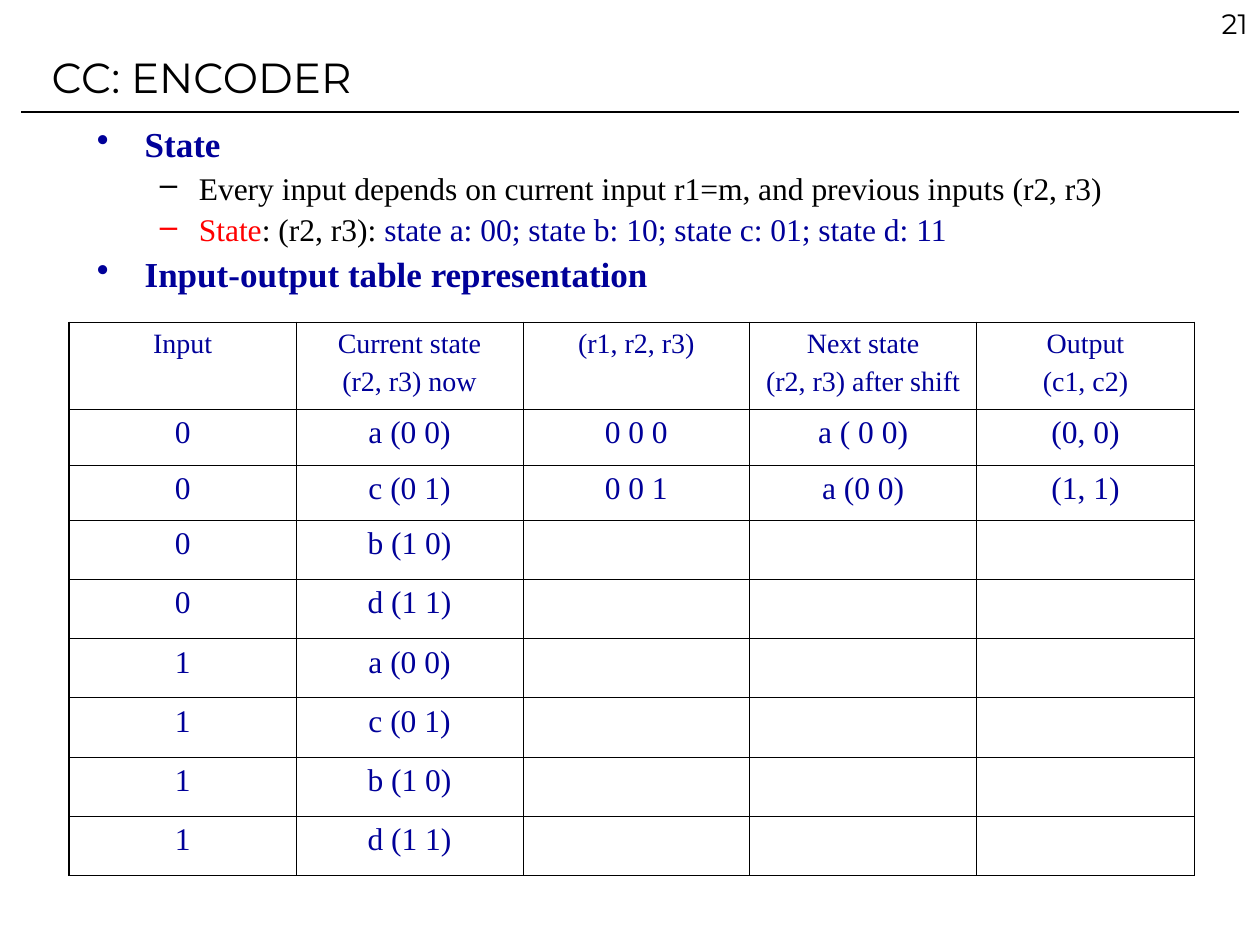
"""Build the convolutional code encoder slide with its state table."""
from lxml.etree import SubElement
from pptx import Presentation
from pptx.dml.color import RGBColor
from pptx.enum.shapes import MSO_CONNECTOR
from pptx.enum.text import MSO_ANCHOR, PP_ALIGN
from pptx.oxml.ns import qn
from pptx.util import Inches, Pt

BLACK = RGBColor(0x00, 0x00, 0x00)
NAVY = RGBColor(0x00, 0x00, 0x99)
RED = RGBColor(0xFF, 0x00, 0x00)
HEADING_FONT = "Montserrat"
BODY_FONT = "Times New Roman"


def format_font(font, name, size, color, bold=False):
    font.name = name
    font.size = Pt(size)
    font.color.rgb = color
    font.bold = bold


def add_border(cell, side, width):
    line = SubElement(cell._tc.get_or_add_tcPr(), qn(f"a:ln{side}"), w=str(Pt(width)))
    fill = SubElement(line, qn("a:solidFill"))
    SubElement(fill, qn("a:srgbClr"), val=str(BLACK))


presentation = Presentation()
presentation.slide_width = Inches(10)
presentation.slide_height = Inches(7.5)
slide = presentation.slides.add_slide(presentation.slide_layouts[5])

rule = slide.shapes.add_connector(
    MSO_CONNECTOR.STRAIGHT, Inches(0.17), Inches(0.89), Inches(9.83), Inches(0.89)
)
rule.line.color.rgb = BLACK
rule.line.width = Pt(0.75)
SubElement(rule._element.spPr, qn("a:effectLst"))

page_number = slide.shapes.add_textbox(Inches(7.92), 0, Inches(2.08), Inches(0.5))
page_number.text_frame.word_wrap = True
page_number.text_frame.text = "21"
paragraph = page_number.text_frame.paragraphs[0]
paragraph.alignment = PP_ALIGN.RIGHT
format_font(paragraph.runs[0].font, HEADING_FONT, 16, BLACK)

title = slide.shapes.title
title.left, title.top = Inches(0.31), Inches(0.19)
title.width, title.height = Inches(8.5), Inches(0.83)
title.text_frame.text = "CC: ENCODER"
title.text_frame.vertical_anchor = MSO_ANCHOR.MIDDLE
paragraph = title.text_frame.paragraphs[0]
paragraph.alignment = PP_ALIGN.LEFT
format_font(paragraph.runs[0].font, HEADING_FONT, 24, BLACK)

LEVELS = [
    {"bullet": "•", "margin": 0.38, "hanging": 0.38, "size": 20, "before": 5},
    {"bullet": "–", "margin": 0.81, "hanging": 0.31, "size": 18, "before": 4.5},
]
BULLETS = [
    (0, [("State", NAVY)]),
    (1, [("Every input depends on current input r1=m, and previous inputs (r2, r3)", BLACK)]),
    (1, [
        ("State", RED),
        (": (r2, r3): ", BLACK),
        ("state a: 00; state b: 10; state c: 01; state d: 11", NAVY),
    ]),
    (0, [("Input-output table representation", NAVY)]),
]
body = slide.shapes.add_textbox(Inches(0.67), Inches(0.96), Inches(8.5), Inches(1.48))
text_frame = body.text_frame
text_frame.word_wrap = True
for index, (level, runs) in enumerate(BULLETS):
    style = LEVELS[level]
    paragraph = text_frame.add_paragraph() if index else text_frame.paragraphs[0]
    paragraph.level = level
    paragraph.line_spacing = 0.9
    if index:
        paragraph.space_before = Pt(style["before"])
    properties = paragraph._p.get_or_add_pPr()
    properties.set("marL", str(Inches(style["margin"])))
    properties.set("indent", str(-Inches(style["hanging"])))
    bullet_color = SubElement(properties, qn("a:buClr"))
    SubElement(bullet_color, qn("a:srgbClr"), val=str(runs[0][1]))
    SubElement(properties, qn("a:buChar"), char=style["bullet"])
    for text, color in runs:
        run = paragraph.add_run()
        run.text = text
        format_font(run.font, BODY_FONT, style["size"], color, bold=level == 0)

ROWS = [
    ["Input", "Current state\n(r2, r3) now", "(r1, r2, r3)",
     "Next state\n(r2, r3) after shift", "Output\n(c1, c2)"],
    ["0", "a (0 0)", "0 0 0", "a ( 0 0)", "(0, 0)"],
    ["0", "c (0 1)", "0 0 1", "a (0 0)", "(1, 1)"],
    ["0", "b (1 0)", "", "", ""],
    ["0", "d (1 1)", "", "", ""],
    ["1", "a (0 0)", "", "", ""],
    ["1", "c (0 1)", "", "", ""],
    ["1", "b (1 0)", "", "", ""],
    ["1", "d (1 1)", "", "", ""],
]
COLUMN_WIDTHS = [1.8] * 4 + [1.73]
ROW_HEIGHTS = [0.69] + [0.44] * 2 + [0.47] * 6
OUTER, INNER = 1.08, 0.45

table = slide.shapes.add_table(
    len(ROWS), len(COLUMN_WIDTHS), Inches(0.55), Inches(2.56),
    Inches(sum(COLUMN_WIDTHS)), Inches(sum(ROW_HEIGHTS)),
).table
table.first_row = False
table.horz_banding = False
for column, width in zip(table.columns, COLUMN_WIDTHS):
    column.width = Inches(width)
for row, height in zip(table.rows, ROW_HEIGHTS):
    row.height = Inches(height)

last_row, last_column = len(ROWS) - 1, len(COLUMN_WIDTHS) - 1
for row_index, texts in enumerate(ROWS):
    size = 18 if row_index else 16
    for column_index, text in enumerate(texts):
        cell = table.cell(row_index, column_index)
        add_border(cell, "L", INNER if column_index else OUTER)
        add_border(cell, "R", OUTER if column_index == last_column else INNER)
        add_border(cell, "T", INNER if row_index else OUTER)
        add_border(cell, "B", OUTER if row_index == last_row else INNER)
        cell.fill.background()
        cell.text_frame.text = text
        for index, paragraph in enumerate(cell.text_frame.paragraphs):
            paragraph.alignment = PP_ALIGN.CENTER
            if index:
                paragraph.space_before = Pt(4)
            for run in paragraph.runs:
                format_font(run.font, BODY_FONT, size, NAVY)

presentation.save("out.pptx")
